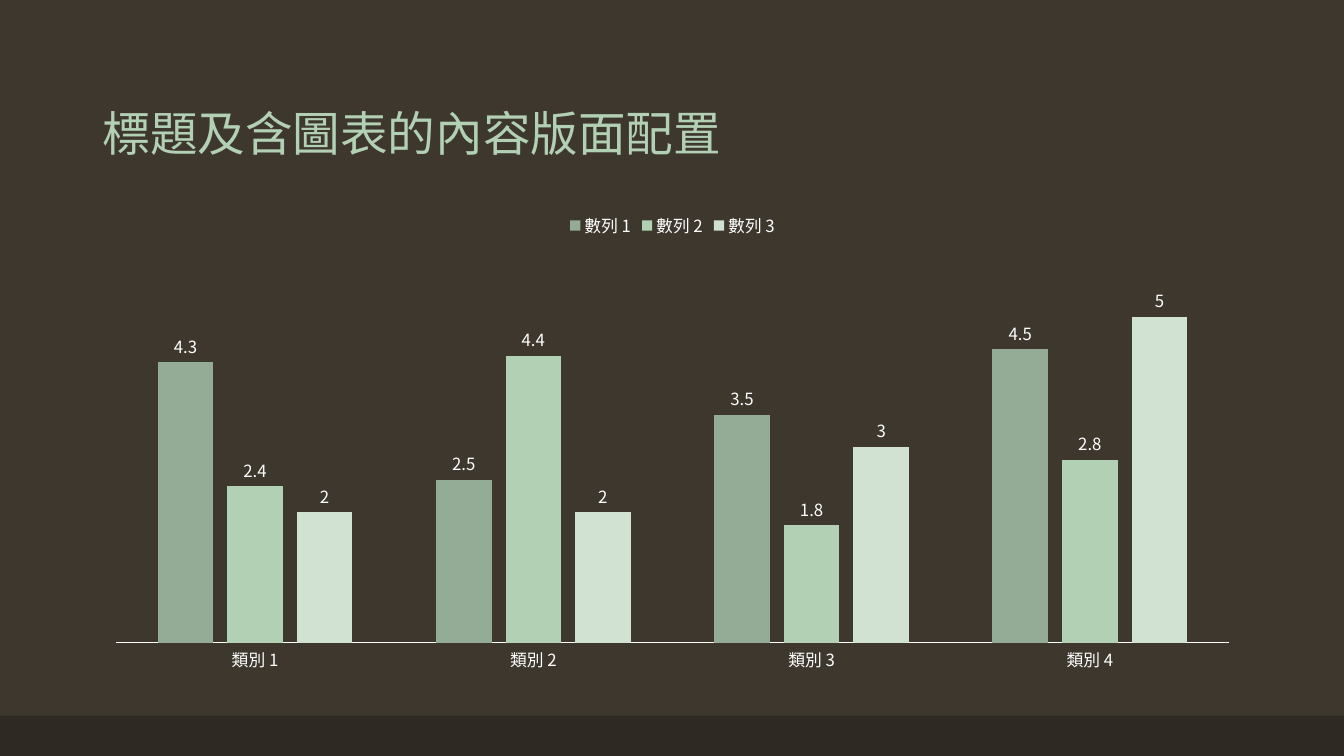
from pptx import Presentation
from pptx.chart.data import CategoryChartData
from pptx.dml.color import RGBColor
from pptx.enum.chart import XL_CHART_TYPE, XL_LABEL_POSITION, XL_LEGEND_POSITION, XL_TICK_MARK
from pptx.enum.shapes import MSO_SHAPE
from pptx.enum.text import MSO_ANCHOR
from pptx.oxml.ns import qn
from pptx.util import Inches, Pt

COLUMNS = XL_CHART_TYPE.COLUMN_CLUSTERED
OUTSIDE = XL_LABEL_POSITION.OUTSIDE_END
TOP = XL_LEGEND_POSITION.TOP
NO_TICKS = XL_TICK_MARK.NONE
RECTANGLE = MSO_SHAPE.RECTANGLE
BOTTOM = MSO_ANCHOR.BOTTOM

TITLE = "標題及含圖表的內容版面配置"
CATEGORIES = ["類別 1", "類別 2", "類別 3", "類別 4"]
SERIES = [
    ("數列 1", "sage", (4.3, 2.5, 3.5, 4.5)),
    ("數列 2", "mint", (2.4, 4.4, 1.8, 2.8)),
    ("數列 3", "pale", (2, 2, 3, 5)),
]
COLORS = {
    "background": "3D372E",
    "footer": "2E2923",
    "sage": "94AC95",
    "mint": "B2D0B4",
    "pale": "D1E2D2",
    "white": "FFFFFF",
}
CJK_FONT = "Noto Sans CJK TC"
CHART_FONT = "Cambria"
WIDTH, HEIGHT = 13.33, 7.5
LEFT, CONTENT_WIDTH = 0.92, 11.5
FOOTER_HEIGHT = 0.4


def color(name):
    return RGBColor.from_string(COLORS[name])


def paint(fill, name):
    fill.solid()
    fill.fore_color.rgb = color(name)


def style(font, size, name, face=CJK_FONT):
    font.size = Pt(size)
    font.name = face
    font.color.rgb = color(name)


prs = Presentation()
prs.slide_width, prs.slide_height = Inches(WIDTH), Inches(HEIGHT)
slide = prs.slides.add_slide(prs.slide_layouts[6])
paint(slide.background.fill, "background")

footer = slide.shapes.add_shape(
    RECTANGLE, 0, Inches(HEIGHT - FOOTER_HEIGHT), Inches(WIDTH), Inches(FOOTER_HEIGHT))
footer.shadow.inherit = False
paint(footer.fill, "footer")
footer.line.fill.background()

title = slide.shapes.add_textbox(
    Inches(LEFT), Inches(0.4), Inches(CONTENT_WIDTH), Inches(1.25)).text_frame
title.word_wrap = True
title.vertical_anchor = BOTTOM
heading = title.paragraphs[0]
heading.text = TITLE
heading.line_spacing = 0.9
style(heading.font, 34, "mint")
run_props = heading.runs[0].font._element
east_asian = run_props.makeelement(qn("a:ea"), {"typeface": CJK_FONT})
run_props.append(east_asian)

data = CategoryChartData()
data.categories = CATEGORIES
for name, _, values in SERIES:
    data.add_series(name, values)
chart = slide.shapes.add_chart(
    COLUMNS, Inches(LEFT), Inches(2), Inches(CONTENT_WIDTH), Inches(4.76), data).chart
style(chart.font, 10, "white", CHART_FONT)
chart.has_title = False

chart.has_legend = True
chart.legend.position = TOP
chart.legend.include_in_layout = False
style(chart.legend.font, 12, "white")

category_axis = chart.category_axis
category_axis.major_tick_mark = category_axis.minor_tick_mark = NO_TICKS
category_axis.format.line.width = Pt(0.75)
paint(category_axis.format.line.fill, "white")
style(category_axis.tick_labels.font, 12, "white")

value_axis = chart.value_axis
value_axis.visible = False
value_axis.has_major_gridlines = False
value_axis.minimum_scale, value_axis.maximum_scale = 0, 6

plot = chart.plots[0]
plot.gap_width, plot.overlap = 150, -25
plot.vary_by_categories = False
for columns, (_, fill_name, _) in zip(plot.series, SERIES):
    paint(columns.format.fill, fill_name)
    labels = columns.data_labels
    labels.show_value = True
    labels.position = OUTSIDE
    style(labels.font, 12, "white")

prs.save("out.pptx")
